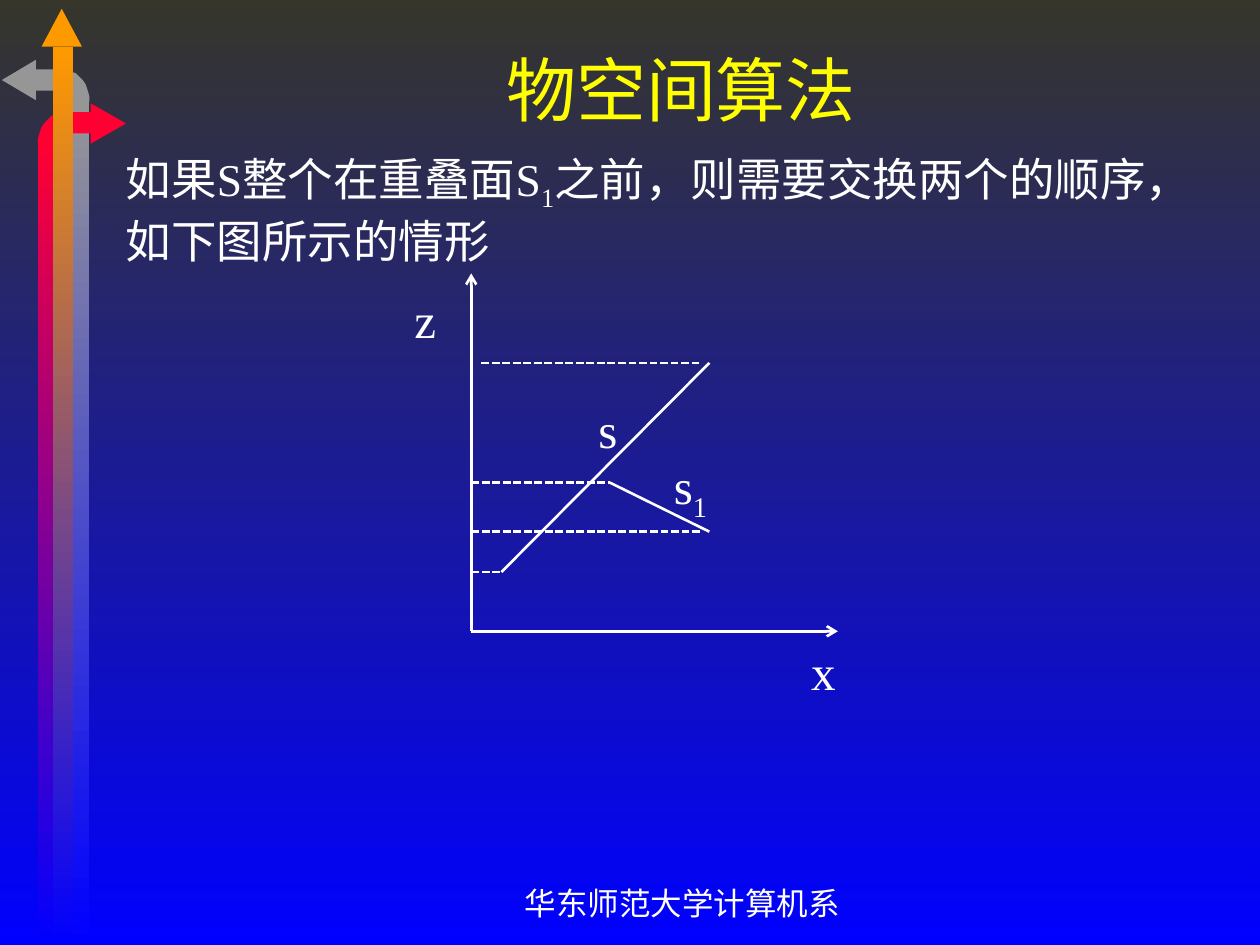
from lxml import etree
from pptx import Presentation
from pptx.dml.color import RGBColor
from pptx.enum.dml import MSO_LINE
from pptx.enum.shapes import MSO_CONNECTOR, MSO_SHAPE
from pptx.enum.text import MSO_ANCHOR, MSO_AUTO_SIZE, PP_ALIGN
from pptx.oxml.ns import qn
from pptx.util import Inches, Pt

RECTANGLE = MSO_SHAPE.RECTANGLE
TRIANGLE = MSO_SHAPE.ISOSCELES_TRIANGLE
STRAIGHT = MSO_CONNECTOR.STRAIGHT
DASH = MSO_LINE.SQUARE_DOT
LEFT, CENTER = PP_ALIGN.LEFT, PP_ALIGN.CENTER
TOP, MIDDLE = MSO_ANCHOR.TOP, MSO_ANCHOR.MIDDLE
FIT, FIXED = MSO_AUTO_SIZE.SHAPE_TO_FIT_TEXT, MSO_AUTO_SIZE.NONE

COLORS = {
    "night": "36362B",
    "blue": "0000FF",
    "gray": "969696",
    "orange": "FF9900",
    "red": "FF0033",
    "yellow": "FFFF00",
    "white": "FFFFFF",
}
FONT = "Times New Roman"
SLIDE_WIDTH, SLIDE_HEIGHT = 10, 7.5
BAR_WIDTH = 0.16
ELBOW = [
    (0, 0), (0, 0.17), (0.03, 0.17), (0.07, 0.18), (0.09, 0.21), (0.11, 0.23),
    (0.11, 0.26), (0.27, 0.26), (0.27, 0.22), (0.26, 0.18), (0.25, 0.15),
    (0.24, 0.12), (0.22, 0.09), (0.19, 0.06), (0.16, 0.03), (0.12, 0.02),
    (0.07, 0.01),
]


def rgb(name):
    return RGBColor.from_string(COLORS[name])


def fade(fill, start, end="blue"):
    fill.gradient()
    fill.gradient_angle = 270
    for stop, name, position in zip(fill.gradient_stops, (start, end), (0, 1)):
        stop.color.rgb = rgb(name)
        stop.position = position


def write(paragraph, text, size=28, color="white", baseline=0):
    run = paragraph.add_run()
    run.text = text
    run.font.name = FONT
    run.font.size = Pt(size)
    run.font.color.rgb = rgb(color)
    if baseline:
        run._r.get_or_add_rPr().set("baseline", str(baseline * 1000))


class Canvas:
    def __init__(self, slide):
        self.slide = slide
        self.shapes = slide.shapes
        self.line_width = Pt(1.5)

    def finish(self, shape, color):
        shape.shadow.inherit = False
        shape.fill.solid()
        shape.fill.fore_color.rgb = rgb(color)
        shape.line.fill.background()
        return shape

    def block(self, kind, box, color, rotation=0):
        shape = self.shapes.add_shape(kind, *map(Inches, box))
        shape.rotation = rotation
        return self.finish(shape, color)

    def fading_bar(self, left, top, color):
        bar = self.block(RECTANGLE, (left, top, BAR_WIDTH, SLIDE_HEIGHT - top), color)
        fade(bar.fill, color)

    def elbow(self, left, top, direction, color):
        points = [(Inches(left + direction * x), Inches(top + y)) for x, y in ELBOW]
        builder = self.shapes.build_freeform(*points[0])
        builder.add_line_segments(points[1:], close=True)
        self.finish(builder.convert_to_shape(), color)

    def line(self, start, end, dashed=False, arrow=False):
        connector = self.shapes.add_connector(STRAIGHT, *map(Inches, start + end))
        connector.line.color.rgb = rgb("white")
        connector.line.width = self.line_width
        if dashed:
            connector.line.dash_style = DASH
        if arrow:
            outline = connector.line._get_or_add_ln()
            etree.SubElement(outline, qn("a:tailEnd"), type="arrow")
        etree.SubElement(connector._element.spPr, qn("a:effectLst"))

    def text(self, box, runs, align=LEFT, anchor=TOP, wrap=True, fit=FIT, **style):
        frame = self.shapes.add_textbox(*map(Inches, box)).text_frame
        frame.word_wrap = wrap
        frame.auto_size = fit
        frame.vertical_anchor = anchor
        paragraph = frame.paragraphs[0]
        paragraph.alignment = align
        paragraph._p.get_or_add_pPr().set("hangingPunct", "0")
        for content, baseline in runs:
            write(paragraph, content, baseline=baseline, **style)


def draw_arrows(canvas):
    canvas.block(RECTANGLE, (0.28, 0.55, BAR_WIDTH, 0.17), "gray")
    canvas.elbow(0.44, 0.55, 1, "gray")
    canvas.block(TRIANGLE, (-0.01, 0.5, 0.32, 0.27), "gray", 270)
    canvas.block(TRIANGLE, (0.33, 0.07, 0.32, 0.3), "orange")
    canvas.fading_bar(0.55, 0.81, "gray")
    canvas.elbow(0.57, 0.89, -1, "red")
    canvas.block(TRIANGLE, (0.7, 0.84, 0.32, 0.28), "red", 90)
    canvas.block(RECTANGLE, (0.57, 0.89, BAR_WIDTH, 0.17), "red")
    canvas.fading_bar(0.3, 1.14, "red")
    canvas.fading_bar(0.42, 0.37, "orange")


def draw_diagram(canvas):
    axis_x = 3.74
    origin = (axis_x, 5.01)
    s_low, s_high = (3.98, 4.54), (5.63, 2.88)
    s1_low, s1_high = (5.63, 4.22), (4.84, 3.83)
    canvas.line(origin, (6.65, 5.01), arrow=True)
    canvas.line(origin, (axis_x, 2.17), arrow=True)
    canvas.line(s1_low, s1_high)
    canvas.line(s_low, s_high)
    for left, right, depth in (
        (3.82, 5.55, s_high[1]),
        (axis_x, s1_high[0], s1_high[1]),
        (axis_x, 5.56, s1_low[1]),
        (axis_x, s_low[0], s_low[1]),
    ):
        canvas.line((left, depth), (right, depth), dashed=True)
    for box, runs in (
        ((3.19, 2.25, 0.37, 0.57), [("z", 0)]),
        ((6.34, 5.04, 0.4, 0.57), [("x", 0)]),
        ((5.25, 3.57, 0.5, 0.63), [("s", 0), ("1", -25)]),
        ((4.65, 3.12, 0.35, 0.57), [("s", 0)]),
    ):
        canvas.text(box, runs, wrap=False)


def main():
    deck = Presentation()
    deck.slide_width, deck.slide_height = Inches(SLIDE_WIDTH), Inches(SLIDE_HEIGHT)
    canvas = Canvas(deck.slides.add_slide(deck.slide_layouts[6]))
    fade(canvas.slide.background.fill, "night")
    draw_arrows(canvas)
    canvas.text((1.18, 0.32, 8.45, 0.77), [("物空间算法", 0)], align=CENTER,
                anchor=MIDDLE, fit=FIXED, size=40, color="yellow")
    canvas.text((3.83, 6.92, 3.17, 0.5), [("华东师范大学计算机系", 0)], align=CENTER,
                anchor=MIDDLE, wrap=False, fit=FIXED, size=18)
    explanation = [
        ("如果S整个在重叠面S", 0),
        ("1", -25),
        ("之前，则需要交换两个的顺序，如下图所示的情形", 0),
    ]
    canvas.text((0.9, 1.15, 8.66, 1.46), explanation, size=26)
    draw_diagram(canvas)
    deck.save("out.pptx")


if __name__ == "__main__":
    main()
